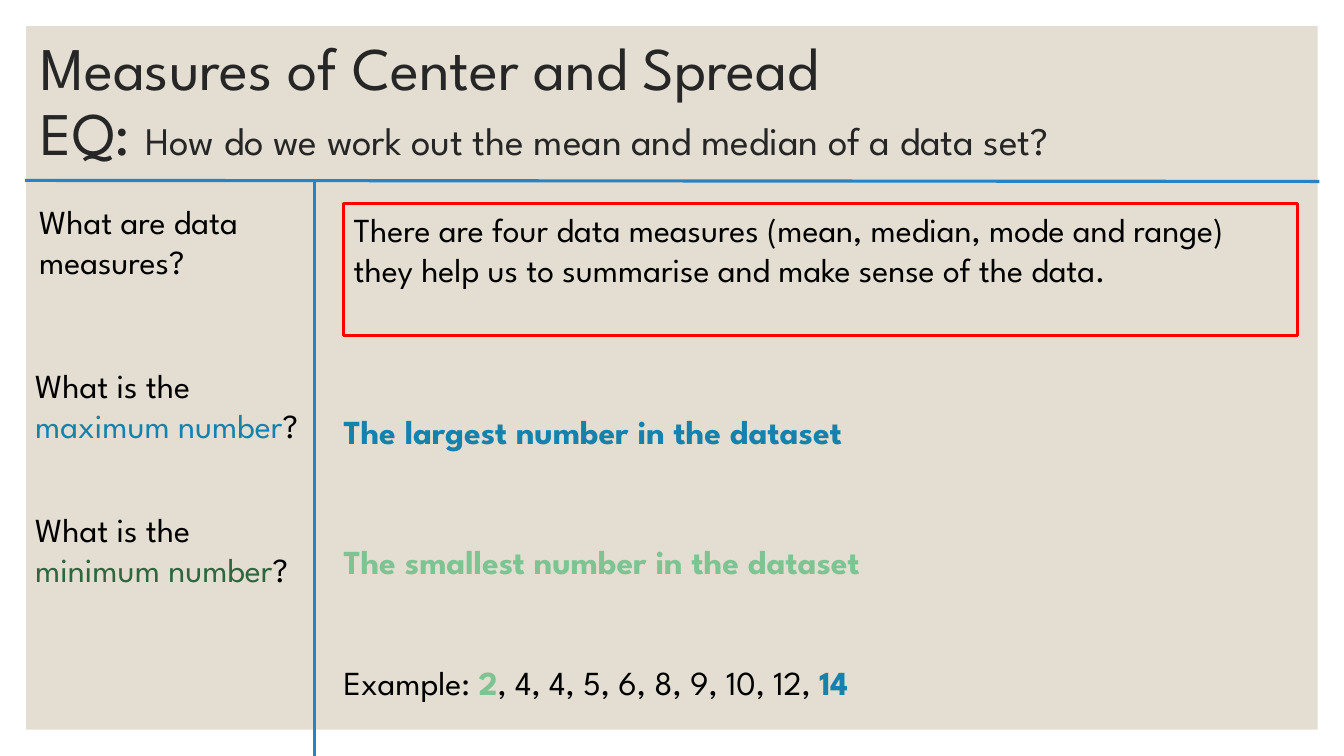
import pptx
import pptx.util
import pptx.dml.color
import pptx.enum.shapes
import pptx.enum.text
import pptx.oxml.ns
import lxml.etree
from dataclasses import dataclass

Pt = pptx.util.Pt


@dataclass(frozen=True)
class Theme:
    font: str = "League Spartan"
    title_size: float = 43.2
    question_size: float = 27.9
    body_size: float = 24
    line_width: float = 2.25
    panel: str = "E3DED1"
    title: str = "262626"
    text: str = "000000"
    rule: str = "2683C6"
    frame: str = "FF0000"
    maximum: str = "1482AC"
    minimum: str = "7EC492"
    minimum_dark: str = "2F663E"


THEME = Theme()
SLIDE_WIDTH, SLIDE_HEIGHT = 960, 540
MARGIN = 18.72
PANEL = (MARGIN, MARGIN, SLIDE_WIDTH - 2 * MARGIN, SLIDE_HEIGHT - 2 * MARGIN)
TITLE_AREA = (21.6, 21.6, 917.28, 104.4)
DEFINITION_AREA = (245.52, 145.44, 681.12, 94.32)
RULE_Y = 128.88
DIVIDER_X = 224.64
EXAMPLE_GAP = 57.6

TITLE = "Measures of Center and Spread"
TITLE_QUESTION = [
    ("EQ: ", THEME.title_size),
    ("How do we work out the mean and median of a data set?", THEME.question_size),
]
DEFINITION = [[
    ("There are four data measures (mean, median, mode and range) "
     "they help us to summarise and make sense of the data.", THEME.text, False),
]]
# Each note: area (left, top, width, height), then paragraphs of (text, colour, bold)
NOTES = [
    ((20.88, 139.68, 165.6, 65.52), [
        [("What are data measures?", THEME.text, False)],
    ]),
    ((18, 257.04, 206.64, 94.32), [
        [("What is the ", THEME.text, False),
         ("maximum number", THEME.maximum, False),
         ("?", THEME.text, False)],
    ]),
    ((238.32, 290.16, 480.24, 36), [
        [("The largest number in the dataset", THEME.maximum, True)],
    ]),
    ((18, 360, 202.32, 94.32), [
        [("What is the ", THEME.text, False),
         ("minimum number", THEME.minimum_dark, False),
         ("?", THEME.text, False)],
    ]),
    ((238.32, 383.04, 483.12, 123.84), [
        [("The smallest number in the dataset", THEME.minimum, True)],
        [("Example: ", THEME.text, False),
         ("2", THEME.minimum, True),
         (", 4, 4, 5, 6, 8, 9, 10, 12, ", THEME.text, False),
         ("14", THEME.maximum, True)],
    ]),
]


def rgb(value):
    return pptx.dml.color.RGBColor.from_string(value)


def points(values):
    return [Pt(value) for value in values]


def add_rectangle(page, area):
    box = page.shapes.add_shape(
        pptx.enum.shapes.MSO_SHAPE.RECTANGLE, *points(area))
    box.shadow.inherit = False
    return box


def write(box, paragraphs):
    """Fill a box with paragraphs, spacing out those after the first."""
    frame = box.text_frame
    frame.word_wrap = True
    frame.vertical_anchor = pptx.enum.text.MSO_ANCHOR.TOP
    for index, pieces in enumerate(paragraphs):
        para = frame.add_paragraph() if index else frame.paragraphs[0]
        para.alignment = pptx.enum.text.PP_ALIGN.LEFT
        if index:
            para.space_before = Pt(EXAMPLE_GAP)
        para.font.name = THEME.font
        para.font.size = Pt(THEME.body_size)
        for text, colour, bold in pieces:
            span = para.add_run()
            span.text = text
            span.font.color.rgb = rgb(colour)
            span.font.bold = bold


def add_rule(page, start, end):
    rule = page.shapes.add_connector(
        pptx.enum.shapes.MSO_CONNECTOR.STRAIGHT, *points(start + end))
    rule.line.color.rgb = rgb(THEME.rule)
    rule.line.width = Pt(THEME.line_width)
    lxml.etree.SubElement(
        rule.element.spPr, pptx.oxml.ns.qn("a:effectLst"))


def write_title(title):
    title.left, title.top, title.width, title.height = points(TITLE_AREA)
    frame = title.text_frame
    frame.auto_size = pptx.enum.text.MSO_AUTO_SIZE.NONE
    frame.vertical_anchor = pptx.enum.text.MSO_ANCHOR.MIDDLE
    para = frame.paragraphs[0]
    para.alignment = pptx.enum.text.PP_ALIGN.LEFT
    para.line_spacing = 0.9
    para.font.name = THEME.font
    para.font.color.rgb = rgb(THEME.title)
    heading = para.add_run()
    heading.text = TITLE
    heading.font.size = Pt(THEME.title_size)
    para.add_line_break()
    for text, size in TITLE_QUESTION:
        span = para.add_run()
        span.text = text
        span.font.size = Pt(size)


def main():
    deck = pptx.Presentation()
    deck.slide_width, deck.slide_height = points((SLIDE_WIDTH, SLIDE_HEIGHT))
    page = deck.slides.add_slide(deck.slide_layouts[5])
    title = page.shapes.title
    write_title(title)

    panel = add_rectangle(page, PANEL)
    panel.fill.solid()
    panel.fill.fore_color.rgb = rgb(THEME.panel)
    panel.line.fill.background()
    title.element.addprevious(panel.element)

    definition = add_rectangle(page, DEFINITION_AREA)
    definition.fill.background()
    definition.line.color.rgb = rgb(THEME.frame)
    definition.line.width = Pt(THEME.line_width)
    write(definition, DEFINITION)

    for area, paragraphs in NOTES:
        write(page.shapes.add_textbox(*points(area)), paragraphs)

    add_rule(page, (DIVIDER_X, RULE_Y), (DIVIDER_X, SLIDE_HEIGHT))
    add_rule(page, (18, RULE_Y), (942.48, RULE_Y + 0.72))
    deck.save("out.pptx")


if __name__ == "__main__":
    main()
